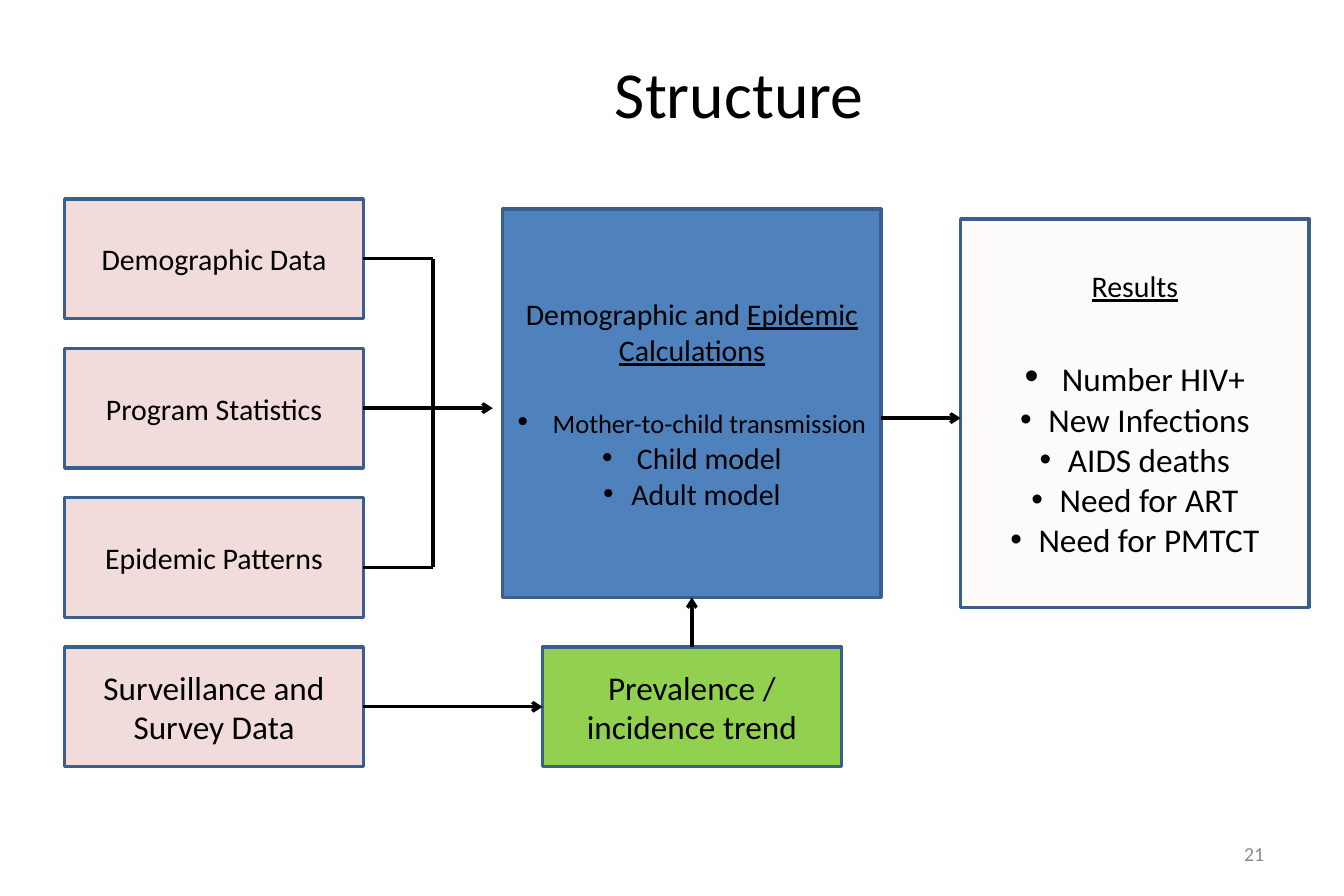
from dataclasses import dataclass

from lxml.etree import SubElement
from pptx import Presentation
from pptx.dml.color import RGBColor as RGB
from pptx.enum.shapes import MSO_CONNECTOR as LINK, MSO_SHAPE as SHAPE
from pptx.enum.text import MSO_ANCHOR as ANCHOR, PP_ALIGN as ALIGN
from pptx.oxml.ns import qn
from pptx.util import Pt


@dataclass(frozen=True)
class Theme:
    font: str = "Calibri"
    ink: str = "000000"
    edge: str = "3A5F8C"
    input: str = "F2DCDB"
    model: str = "4F81BD"
    trend: str = "92D050"
    result: str = "FCFBF9"
    muted: str = "8C8C8C"
    title: float = 39.6
    large: int = 24
    label: int = 20
    body: int = 18
    small: int = 16
    note: int = 12
    line: int = 2


theme = Theme()


def write(frame, paras, color=theme.ink, align=ALIGN.CENTER):
    """Fill frame from (runs, bullet, space before); a run is (text, size, underline)."""
    frame.word_wrap = True
    frame.vertical_anchor = ANCHOR.MIDDLE
    for i, (runs, bullet, gap) in enumerate(paras):
        para = frame.add_paragraph() if i else frame.paragraphs[0]
        para.alignment = align
        para.space_before = Pt(gap)
        if bullet:
            props = para._p.get_or_add_pPr()
            props.set("marL", str(Pt(17)))
            props.set("indent", str(-Pt(17)))
            SubElement(props, qn("a:buFont")).set("typeface", "Arial")
            SubElement(props, qn("a:buChar")).set("char", "•")
        for text, size, under in runs:
            run = para.add_run()
            run.text = text
            font = run.font
            font.name, font.size, font.underline = theme.font, Pt(size), under
            font.color.rgb = RGB.from_string(color)


def plain(text, size):
    """Return one paragraph without bullet or gap."""
    return [([(text, size, False)], False, 0)]


deck = Presentation()
deck.slide_width, deck.slide_height = Pt(810), Pt(540)
slide = deck.slides.add_slide(deck.slide_layouts[5])
shapes = slide.shapes

title = shapes.title
title.left, title.top, title.width, title.height = Pt(81), Pt(24), Pt(729), Pt(63)
write(title.text_frame, plain("Structure", theme.title))

# Input boxes share one column; the trend box sits in the last row.
left, top, wide, high, step = 39, 120, 180, 72, 90
inputs = [
    ("Demographic Data", theme.body),
    ("Program Statistics", theme.body),
    ("Epidemic Patterns", theme.body),
    ("Surveillance and Survey Data", theme.label),
]
boxes = [
    (left, top + i * step, wide, high, theme.input, plain(text, size))
    for i, (text, size) in enumerate(inputs)
]

model = [
    ([("Demographic and ", theme.body, False),
      ("Epidemic Calculations", theme.body, True)], False, 0),
    ([(" ", theme.body, False),
      ("Mother-to-child transmission", theme.small, False)], True, 22),
    ([(" Child model", theme.body, False)], True, 0),
    ([("Adult model", theme.body, False)], True, 0),
]
results = [
    ([("Results", theme.body, True)], False, 0),
    ([(" ", theme.large, False), ("Number HIV+", theme.label, False)], True, 29),
]
for text in ("New Infections", "AIDS deaths", "Need for ART", "Need for PMTCT"):
    results.append(([(text, theme.label, False)], True, 0))

boxes += [
    (303, 126, 228, 234, theme.model, model),
    (327, top + 3 * step, wide, high, theme.trend,
     plain("Prevalence / incidence trend", theme.label)),
    (579, 132, 210, 234, theme.result, results),
]
for x, y, w, h, fill, paras in boxes:
    box = shapes.add_shape(SHAPE.FLOWCHART_PROCESS, Pt(x), Pt(y), Pt(w), Pt(h))
    box.shadow.inherit = False
    box.fill.solid()
    box.fill.fore_color.rgb = RGB.from_string(fill)
    box.line.color.rgb = RGB.from_string(theme.edge)
    box.line.width = Pt(theme.line)
    write(box.text_frame, paras)

edge, bus = left + wide, 261
links = [
    (edge, 426, 327, 426, True),
    (edge, 246, 297, 246, True),
    (bus, 156, bus, 342, False),
    (edge, 156, bus, 156, False),
    (edge, 342, bus, 342, False),
    (417, 390, 417, 360, True),
    (531, 252, 579, 252, True),
]
for x1, y1, x2, y2, arrow in links:
    link = shapes.add_connector(LINK.STRAIGHT, Pt(x1), Pt(y1), Pt(x2), Pt(y2))
    link.line.color.rgb = RGB.from_string(theme.ink)
    link.line.width = Pt(theme.line)
    if arrow:
        SubElement(link.line._get_or_add_ln(), qn("a:tailEnd")).set("type", "arrow")
    SubElement(link._element.spPr, qn("a:effectLst"))

number = shapes.add_textbox(Pt(580), Pt(500), Pt(189), Pt(29))
write(number.text_frame, plain("21", theme.note), theme.muted, ALIGN.RIGHT)

deck.save("out.pptx")
